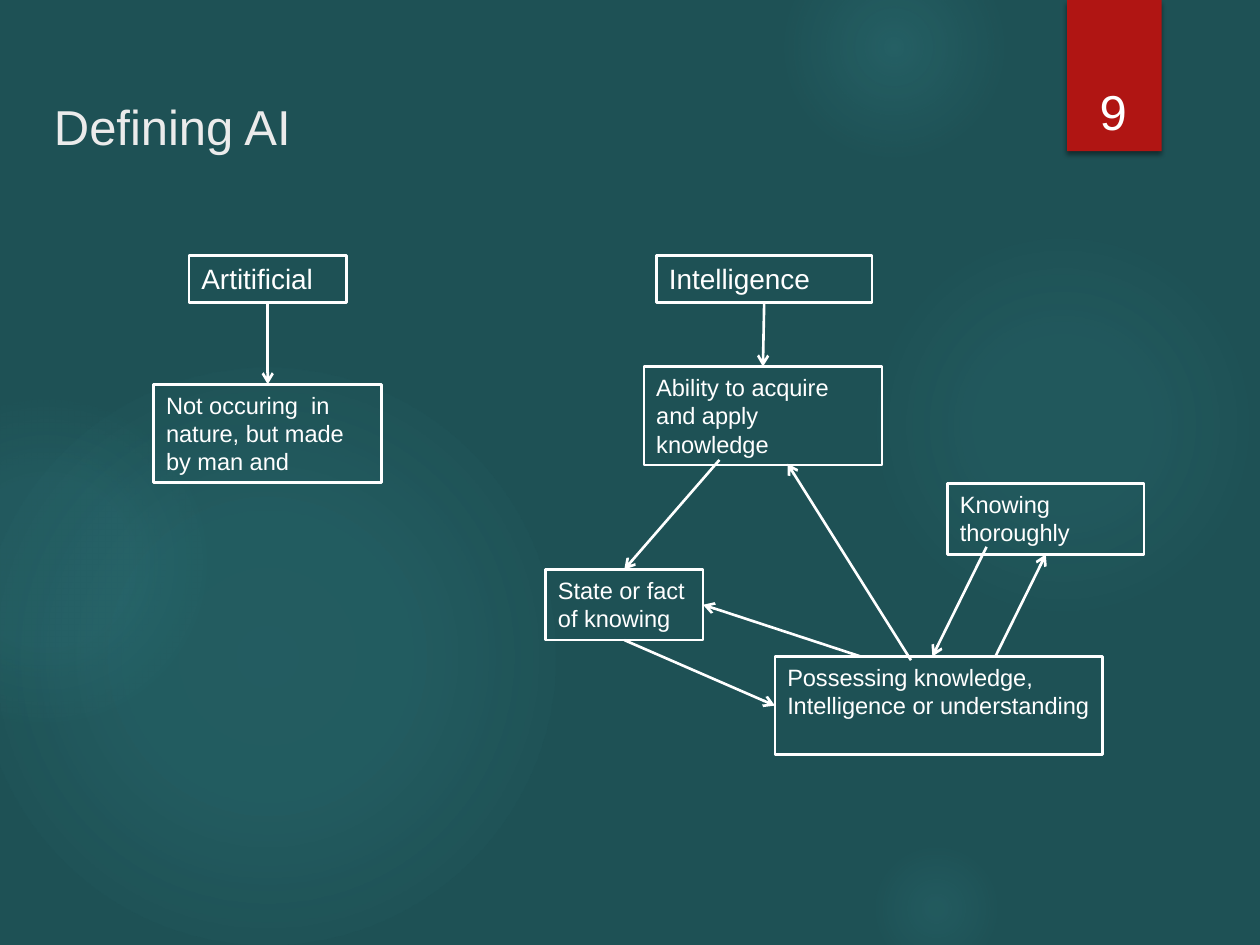
"""Build the "Defining AI" slide: two terms, their definitions and the links between them."""
from typing import NamedTuple, Optional

from pptx import Presentation
from pptx.dml.color import RGBColor
from pptx.enum.shapes import MSO_CONNECTOR, MSO_SHAPE
from pptx.enum.text import MSO_ANCHOR, PP_ALIGN
from pptx.oxml import parse_xml
from pptx.oxml.ns import nsdecls, qn
from pptx.util import Inches, Pt

FONT = "Arial"
WHITE = "FFFFFF"
GLOW_COLOR = "50B9C1"
TOP, LEFT, BOTTOM, RIGHT = range(4)


class Glow(NamedTuple):
    x: float
    y: float
    size: float
    inner: int
    middle: int
    edge: int


class Box(NamedTuple):
    key: str
    text: str
    x: float
    y: float
    w: float
    h: float
    size: float = 13.5


class End(NamedTuple):
    x: float = 0
    y: float = 0
    box: Optional[str] = None
    side: int = TOP


class Link(NamedTuple):
    start: End
    end: End


GLOWS = [
    Glow(6.89, 1.83, 3.08, 7, 6, 69),
    Glow(6.22, -0.5, 1.75, 14, 7, 73),
    Glow(6.89, 6.67, 1.08, 9, 5, 66),
    Glow(-0.17, 2.92, 4.58, 11, 10, 75),
    Glow(-0.92, 3.17, 2.58, 8, 8, 72),
]

BOXES = [
    Box("intelligence", "Intelligence", 5.21, 2.03, 1.71, 0.37, 16),
    Box("artificial", "Artitificial", 1.5, 2.03, 1.25, 0.37, 16),
    Box("made", "Not occuring  in nature, but made by man and", 1.22, 3.05, 1.81, 0.78),
    Box("state", "State or fact of knowing", 4.33, 4.52, 1.25, 0.56),
    Box("possessing", "Possessing knowledge, Intelligence or understanding",
        6.15, 5.21, 2.6, 0.78),
    Box("knowing", "Knowing thoroughly", 7.52, 3.84, 1.56, 0.56),
    Box("ability", "Ability to acquire and apply knowledge", 5.11, 2.91, 1.89, 0.78),
]

LINKS = [
    Link(End(box="artificial", side=BOTTOM), End(box="made")),
    Link(End(box="intelligence", side=BOTTOM), End(box="ability")),
    Link(End(5.71, 3.65), End(box="state")),
    Link(End(box="state", side=BOTTOM), End(box="possessing", side=LEFT)),
    Link(End(6.83, 5.21), End(box="state", side=RIGHT)),
    Link(End(7.83, 4.34), End(7.4, 5.21)),
    Link(End(7.9, 5.21), End(box="knowing", side=BOTTOM)),
    Link(End(7.23, 5.24), End(6.25, 3.68)),
]


def rgb(color: str) -> RGBColor:
    return RGBColor.from_string(color)


def add_shape(slide, kind, x: float, y: float, w: float, h: float):
    s = slide.shapes.add_shape(kind, Inches(x), Inches(y), Inches(w), Inches(h))
    s.shadow.inherit = False
    s.fill.background()
    s.line.fill.background()
    return s


def write(s, text: str, size: float, color: str = WHITE,
          align=PP_ALIGN.LEFT, anchor=MSO_ANCHOR.TOP) -> None:
    tf = s.text_frame
    tf.word_wrap = True
    tf.vertical_anchor = anchor
    p = tf.paragraphs[0]
    p.alignment = align
    r = p.add_run()
    r.text = text
    r.font.name = FONT
    r.font.size = Pt(size)
    r.font.color.rgb = rgb(color)


def add_label(slide, text: str, x: float, y: float, w: float, h: float, **style) -> None:
    s = slide.shapes.add_textbox(Inches(x), Inches(y), Inches(w), Inches(h))
    write(s, text, 28, **style)


def add_glow(slide, glow: Glow) -> None:
    s = add_shape(slide, MSO_SHAPE.OVAL, glow.x, glow.y, glow.size, glow.size)
    stops = "".join(
        f'<a:gs pos="{pos * 1000}"><a:srgbClr val="{GLOW_COLOR}">'
        f'<a:alpha val="{alpha * 1000}"/></a:srgbClr></a:gs>'
        for pos, alpha in ((0, glow.inner), (36, glow.middle), (glow.edge, 0))
    )
    gradient = parse_xml(
        f'<a:gradFill {nsdecls("a")} rotWithShape="1"><a:gsLst>{stops}</a:gsLst>'
        '<a:path path="circle"><a:fillToRect l="50000" t="50000" r="50000" b="50000"/>'
        '</a:path></a:gradFill>'
    )
    spPr = s._element.spPr
    spPr.replace(spPr.find(qn("a:noFill")), gradient)


def add_ribbon(slide) -> None:
    s = add_shape(slide, MSO_SHAPE.RECTANGLE, 8.47, 0, 0.75, 1.2)
    s.fill.solid()
    s.fill.fore_color.rgb = rgb("B01513")
    s._element.spPr.find(qn("a:effectLst")).append(parse_xml(
        f'<a:outerShdw {nsdecls("a")} blurRad="{Pt(3)}" dist="{Pt(2)}" dir="5400000" '
        'rotWithShape="0"><a:srgbClr val="000000"><a:alpha val="45000"/></a:srgbClr>'
        '</a:outerShdw>'
    ))


def add_box(slide, box: Box):
    s = add_shape(slide, MSO_SHAPE.RECTANGLE, box.x, box.y, box.w, box.h)
    s.line.color.rgb = rgb(WHITE)
    s.line.width = Pt(1.5)
    write(s, box.text, box.size)
    return s


def add_link(slide, link: Link, boxes: dict) -> None:
    start, end = link
    c = slide.shapes.add_connector(
        MSO_CONNECTOR.STRAIGHT,
        Inches(start.x), Inches(start.y), Inches(end.x), Inches(end.y))
    if start.box:
        c.begin_connect(boxes[start.box], start.side)
    if end.box:
        c.end_connect(boxes[end.box], end.side)
    c.line.color.rgb = rgb(WHITE)
    c.line.width = Pt(1.5)
    c.line._get_or_add_ln().append(parse_xml(f'<a:tailEnd {nsdecls("a")} type="arrow"/>'))
    c._element.spPr.append(parse_xml(f'<a:effectLst {nsdecls("a")}/>'))


def main() -> None:
    prs = Presentation()
    prs.slide_width, prs.slide_height = Inches(10), Inches(7.5)
    slide = prs.slides.add_slide(prs.slide_layouts[6])
    slide.background.fill.solid()
    slide.background.fill.fore_color.rgb = rgb("1E5155")
    for glow in GLOWS:
        add_glow(slide, glow)
    add_ribbon(slide)
    add_label(slide, "9", 8.49, 0.32, 0.69, 0.84,
              align=PP_ALIGN.CENTER, anchor=MSO_ANCHOR.BOTTOM)
    add_label(slide, "Defining AI", 0.33, 0.72, 9, 0.94, color="EBEBEB")
    boxes = {box.key: add_box(slide, box) for box in BOXES}
    for link in LINKS:
        add_link(slide, link, boxes)
    prs.save("out.pptx")


if __name__ == "__main__":
    main()
